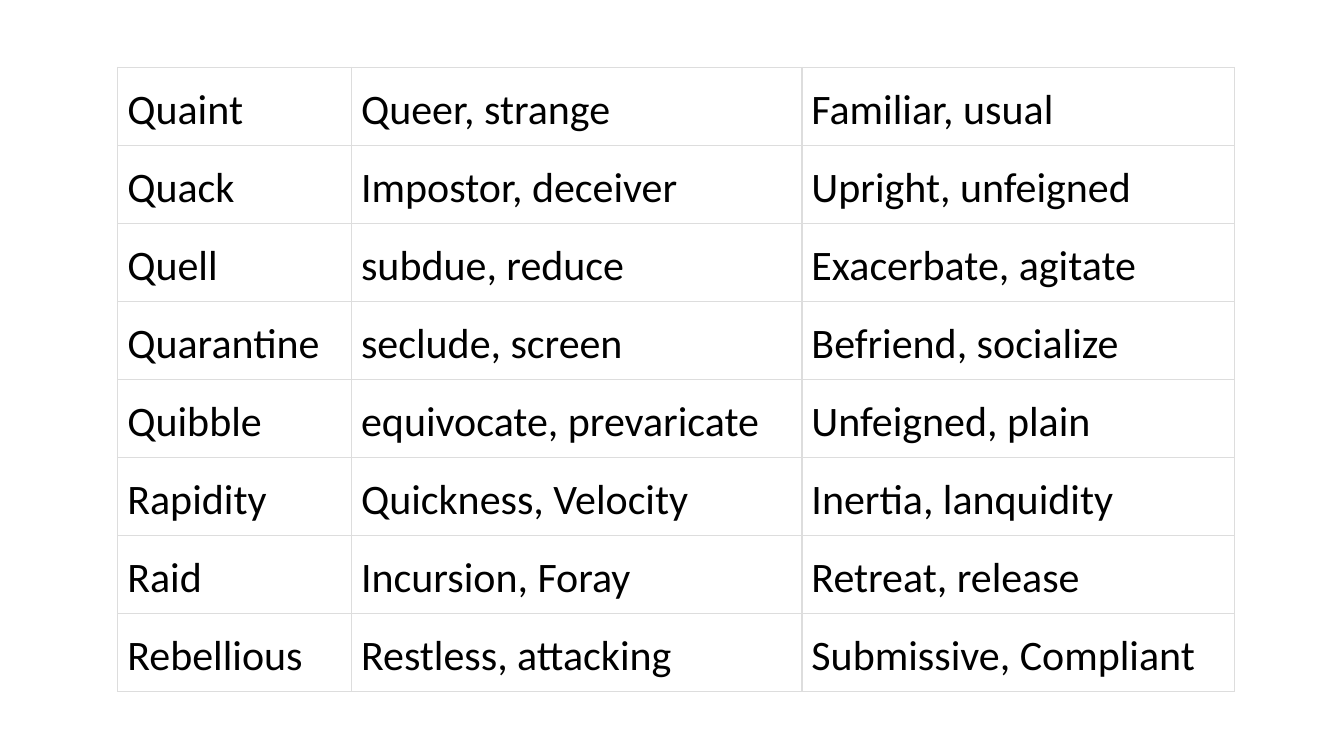
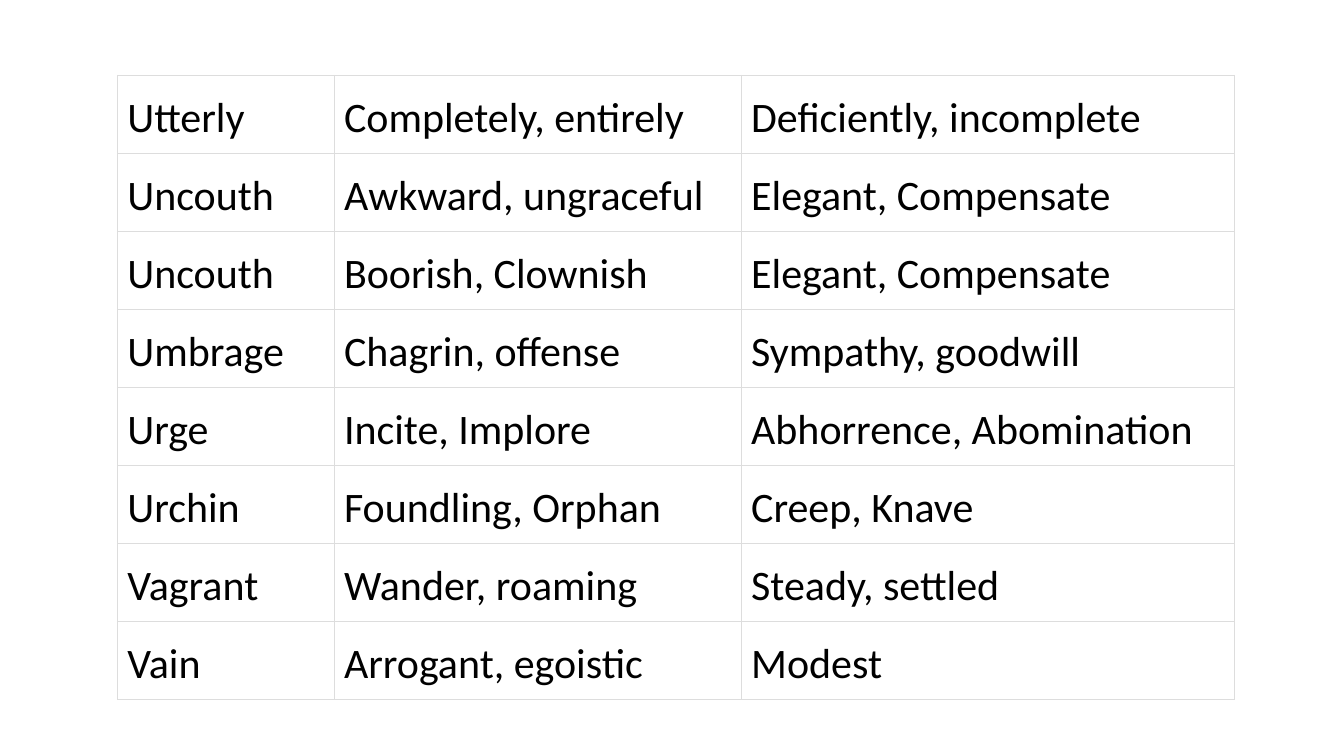
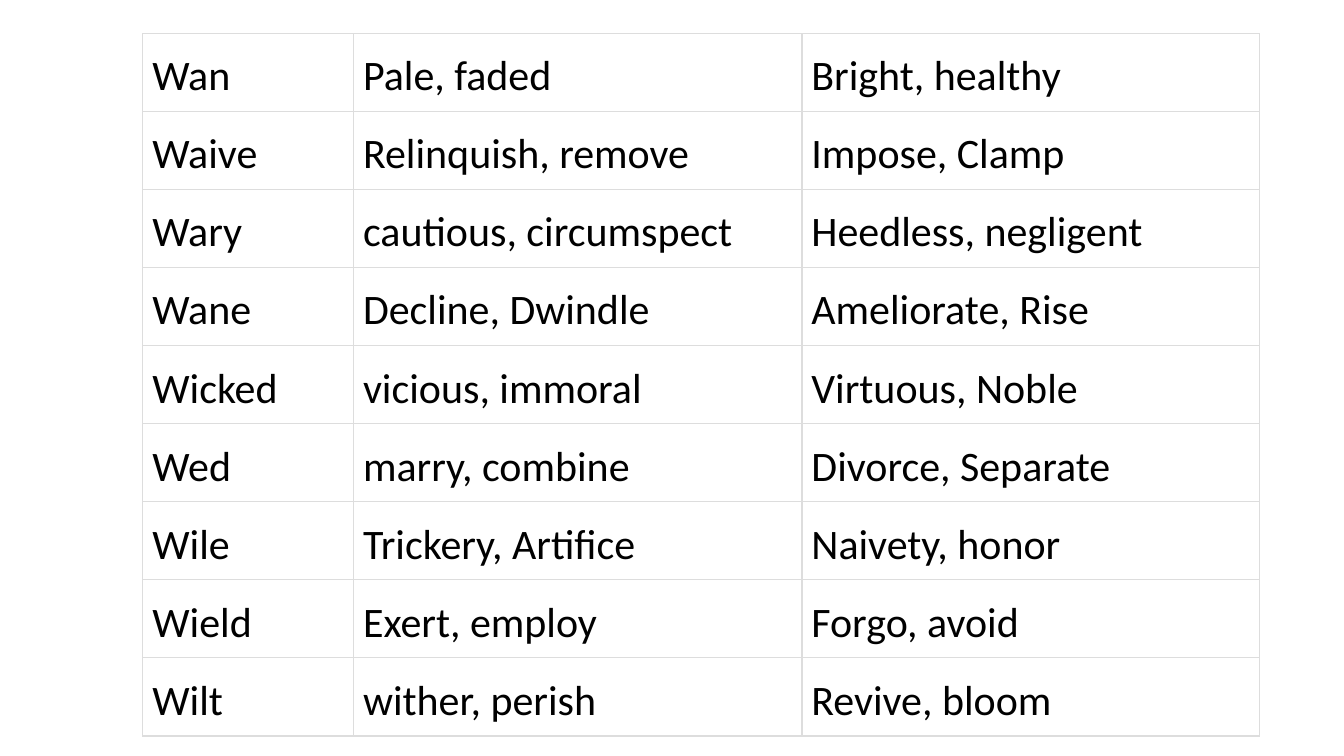
import pptx
import pptx.dml.color
import pptx.oxml
import pptx.oxml.ns
import pptx.util
from pptx.util import Cm

BLACK = pptx.dml.color.RGBColor(0x00, 0x00, 0x00)
WHITE = pptx.dml.color.RGBColor(0xFF, 0xFF, 0xFF)
GREY = pptx.dml.color.RGBColor(0xDD, 0xDD, 0xDD)

FONT_NAME = "Calibri"
FONT_SIZE = pptx.util.Pt(30)
LINE_SPACING = 1.15
BORDER_WIDTH = pptx.util.Pt(1)
BLANK_LAYOUT = 6
TABLE_WIDTH = 28.14
ROW_HEIGHT = 1.95
CELL_MARGIN = Cm(0.24)

WORD_TABLES = [
    {
        "left": 2.97,
        "top": 1.7,
        "first_columns": (5.89, 11.35),
        "rows": [
            ("Quaint", "Queer, strange", "Familiar, usual"),
            ("Quack", "Impostor, deceiver", "Upright, unfeigned"),
            ("Quell", "subdue, reduce", "Exacerbate, agitate"),
            ("Quarantine", "seclude, screen", "Befriend, socialize"),
            ("Quibble", "equivocate, prevaricate", "Unfeigned, plain"),
            ("Rapidity", "Quickness, Velocity", "Inertia, lanquidity"),
            ("Raid", "Incursion, Foray", "Retreat, release"),
            ("Rebellious", "Restless, attacking", "Submissive, Compliant"),
        ],
    },
    {
        "left": 2.97,
        "top": 1.9,
        "first_columns": (5.46, 10.26),
        "rows": [
            ("Utterly", "Completely, entirely", "Deficiently, incomplete"),
            ("Uncouth", "Awkward, ungraceful", "Elegant, Compensate"),
            ("Uncouth", "Boorish, Clownish", "Elegant, Compensate"),
            ("Umbrage", "Chagrin, offense", "Sympathy, goodwill"),
            ("Urge", "Incite, Implore", "Abhorrence, Abomination"),
            ("Urchin", "Foundling, Orphan", "Creep, Knave"),
            ("Vagrant", "Wander, roaming", "Steady, settled"),
            ("Vain", "Arrogant, egoistic", "Modest"),
        ],
    },
    {
        "left": 3.6,
        "top": 0.85,
        "first_columns": (5.31, 11.3),
        "rows": [
            ("Wan", "Pale, faded", "Bright, healthy"),
            ("Waive", "Relinquish, remove", "Impose, Clamp"),
            ("Wary", "cautious, circumspect", "Heedless, negligent"),
            ("Wane", "Decline, Dwindle", "Ameliorate, Rise"),
            ("Wicked", "vicious, immoral", "Virtuous, Noble"),
            ("Wed", "marry, combine", "Divorce, Separate"),
            ("Wile", "Trickery, Artifice", "Naivety, honor"),
            ("Wield", "Exert, employ", "Forgo, avoid"),
            ("Wilt", "wither, perish", "Revive, bloom"),
        ],
    },
]


def add_borders(cell):
    properties = cell._tc.get_or_add_tcPr()
    for side in ("lnL", "lnR", "lnT", "lnB"):
        properties.append(pptx.oxml.parse_xml(
            f'<a:{side} {pptx.oxml.ns.nsdecls("a")} w="{BORDER_WIDTH}">'
            f'<a:solidFill><a:srgbClr val="{GREY}"/></a:solidFill></a:{side}>'
        ))


def fill_cell(cell, text):
    add_borders(cell)
    cell.fill.solid()
    cell.fill.fore_color.rgb = WHITE
    cell.margin_left = cell.margin_right = CELL_MARGIN
    cell.margin_top = cell.margin_bottom = CELL_MARGIN
    cell.text = text
    paragraph = cell.text_frame.paragraphs[0]
    paragraph.line_spacing = LINE_SPACING
    paragraph.font.name = FONT_NAME
    paragraph.font.size = FONT_SIZE
    paragraph.font.color.rgb = BLACK


def add_word_table(page, left, top, first_columns, rows):
    widths = (*first_columns, TABLE_WIDTH - sum(first_columns))
    table = page.shapes.add_table(
        len(rows), len(widths), Cm(left), Cm(top),
        Cm(TABLE_WIDTH), Cm(ROW_HEIGHT * len(rows)),
    ).table
    table.first_row = False
    table.horz_banding = False
    for column, width in zip(table.columns, widths):
        column.width = Cm(width)
    for row, words in zip(table.rows, rows):
        row.height = Cm(ROW_HEIGHT)
        for cell, text in zip(row.cells, words):
            fill_cell(cell, text)


def main():
    deck = pptx.Presentation()
    deck.slide_width = Cm(33.87)
    deck.slide_height = Cm(19.05)
    for word_table in WORD_TABLES:
        page = deck.slides.add_slide(deck.slide_layouts[BLANK_LAYOUT])
        add_word_table(page, **word_table)
    deck.save("out.pptx")


if __name__ == "__main__":
    main()
